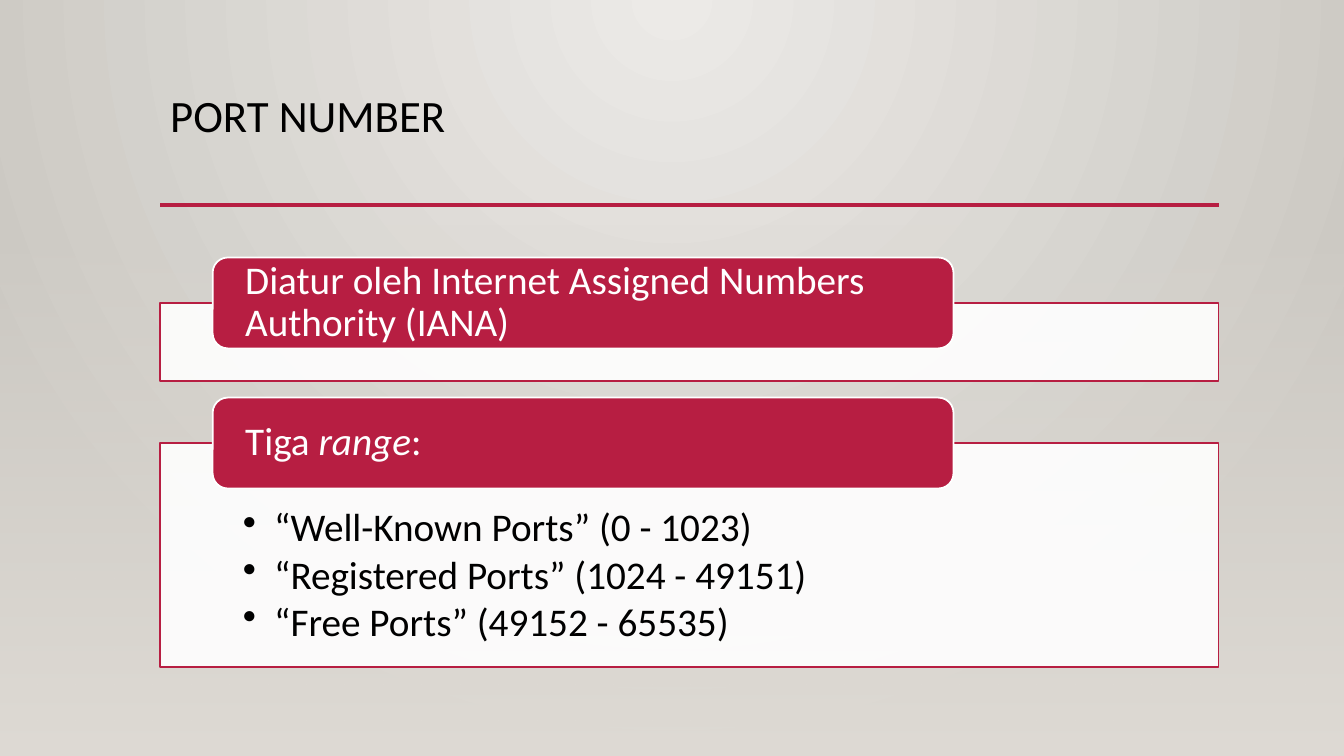
from pptx import Presentation
from pptx import util as u
from pptx.dml.color import RGBColor
from pptx.enum import shapes, text
from pptx.oxml import parse_xml
from pptx.oxml.ns import nsdecls, qn

Cm, Pt = u.Cm, u.Pt
CRIMSON = RGBColor(0xB7, 0x1E, 0x42)
WHITE = RGBColor(0xFF, 0xFF, 0xFF)
BLACK = RGBColor(0, 0, 0)
STONE_LIGHT = RGBColor(0xEC, 0xEA, 0xE7)
STONE_DARK = RGBColor(0xCA, 0xC7, 0xC1)
SAND = RGBColor(0xDF, 0xDB, 0xD5)

PAGE_WIDTH, PAGE_HEIGHT = Cm(33.87), Cm(19.05)
LEFT, WIDTH = Cm(4.04), Cm(26.67)
TAB_LEFT, TAB_WIDTH, TAB_HEIGHT = Cm(5.36), Cm(18.67), Cm(2.29)
TAB_RISE = Cm(1.15)

# Heading spans (text, italic), bullets, panel top, panel height
CARDS = [
    ([("Diatur oleh Internet Assigned Numbers Authority (IANA)", False)],
     [], Cm(7.64), Cm(1.96)),
    ([("Tiga ", False), ("range", True), (":", False)],
     ["“Well-Known Ports” (0 - 1023)",
      "“Registered Ports” (1024 - 49151)",
      "“Free Ports” (49152 - 65535)"], Cm(11.17), Cm(5.64)),
]


def set_alpha(shape, index, percent):
    """Set the opacity of one colour of a shape's fill."""
    color = list(shape._element.spPr.iter(qn("a:srgbClr")))[index]
    color.append(parse_xml(f'<a:alpha {nsdecls("a")} val="{percent * 1000}"/>'))


def set_gradient(fill, start, end):
    fill.gradient()
    fill.gradient_angle = 270
    for stop, color in zip(fill.gradient_stops, (start, end)):
        stop.color.rgb = color


def add_background(page):
    """Radial glow from the top centre, and a fade over the lower part."""
    set_gradient(page.background.fill, STONE_LIGHT, STONE_DARK)
    linear = next(page._element.iter(qn("a:lin")))
    linear.getparent().replace(linear, parse_xml(
        f'<a:path {nsdecls("a")} path="circle">'
        '<a:fillToRect l="43000" t="0" r="43000" b="100000"/></a:path>'))

    top = Cm(5.61)
    fade = page.shapes.add_shape(shapes.MSO_SHAPE.RECTANGLE, 0, top,
                                 PAGE_WIDTH, PAGE_HEIGHT - top)
    fade.shadow.inherit = False
    fade.line.fill.background()
    set_gradient(fade.fill, SAND, SAND)
    set_alpha(fade, 0, 0)


def add_box(page, kind, left, top, width, height, fill, line):
    box = page.shapes.add_shape(kind, left, top, width, height)
    box.shadow.inherit = False
    box.fill.solid()
    box.fill.fore_color.rgb = fill
    box.line.color.rgb = line
    box.line.width = Pt(1.25)
    return box


def set_insets(box, sides, top, bottom):
    frame = box.text_frame
    frame.word_wrap = True
    frame.margin_left = frame.margin_right = sides
    frame.margin_top, frame.margin_bottom = top, bottom


def write(box, paragraphs, *, size=28, color=BLACK, bullet=False,
          anchor=text.MSO_ANCHOR.TOP):
    """Fill a shape with paragraphs, each a list of (text, italic) spans."""
    frame = box.text_frame
    frame.vertical_anchor = anchor
    for index, spans in enumerate(paragraphs):
        para = frame.add_paragraph() if index else frame.paragraphs[0]
        para.alignment = text.PP_ALIGN.LEFT
        para.line_spacing = 0.9
        if bullet:
            para.space_after = Pt(3.6)
            properties = para._p.get_or_add_pPr()
            properties.set("marL", str(Cm(0.79)))
            properties.set("indent", str(-Cm(0.79)))
            properties.append(parse_xml(f'<a:buChar {nsdecls("a")} char="•"/>'))
        for words, italic in spans:
            span = para.add_run()
            span.text = words
            span.font.name = "Calibri"
            span.font.size = Pt(size)
            span.font.italic = italic
            span.font.color.rgb = color


def add_title(page, words):
    box = page.shapes.add_textbox(LEFT, Cm(2.24), WIDTH, Cm(2.92))
    set_insets(box, Cm(0.25), Cm(0.13), Cm(0.13))
    write(box, [[(words, False)]], size=32)


def add_rule(page, top):
    rule = page.shapes.add_connector(shapes.MSO_CONNECTOR.STRAIGHT,
                                     LEFT, top, LEFT + WIDTH, top)
    rule.line.color.rgb = CRIMSON
    rule.line.width = Pt(2.5)
    rule._element.spPr.append(parse_xml(f'<a:effectLst {nsdecls("a")}/>'))


def add_card(page, heading, bullets, top, height):
    """White panel with a crimson tab across its upper edge."""
    panel = add_box(page, shapes.MSO_SHAPE.RECTANGLE, LEFT, top, WIDTH, height,
                    WHITE, CRIMSON)
    set_alpha(panel, 0, 90)
    if bullets:
        set_insets(panel, Cm(2.08), Cm(1.63), Cm(0.56))
        write(panel, [[(words, False)] for words in bullets], bullet=True)

    tab = add_box(page, shapes.MSO_SHAPE.ROUNDED_RECTANGLE, TAB_LEFT,
                  top - TAB_RISE, TAB_WIDTH, TAB_HEIGHT, CRIMSON, WHITE)
    set_insets(tab, Cm(0.71), 0, 0)
    write(tab, [heading], color=WHITE, anchor=text.MSO_ANCHOR.MIDDLE)


def main():
    deck = Presentation()
    deck.slide_width, deck.slide_height = PAGE_WIDTH, PAGE_HEIGHT
    page = deck.slides.add_slide(deck.slide_layouts[6])

    add_background(page)
    add_title(page, "PORT NUMBER")
    add_rule(page, Cm(5.16))
    for card in CARDS:
        add_card(page, *card)

    deck.save("out.pptx")


if __name__ == "__main__":
    main()
